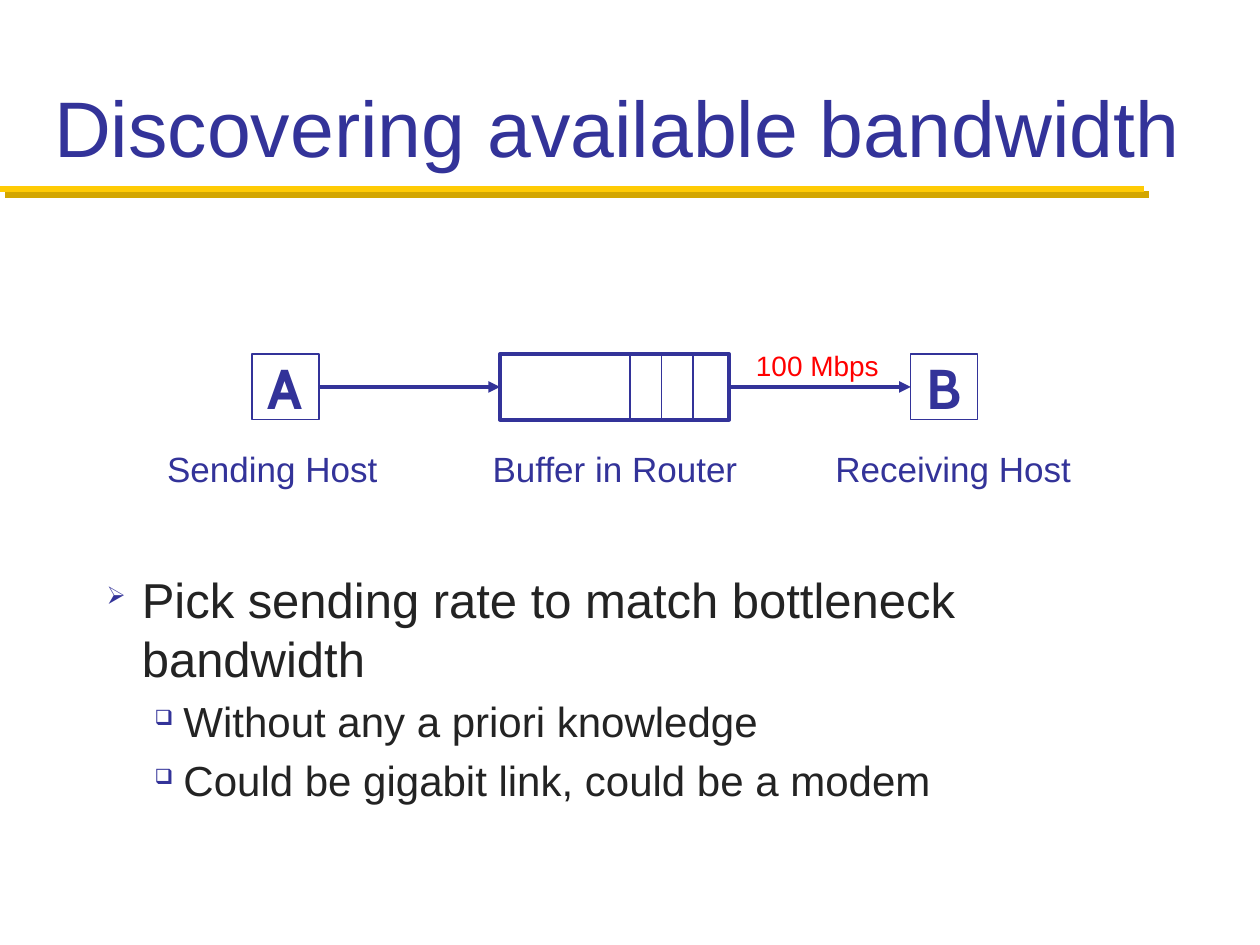
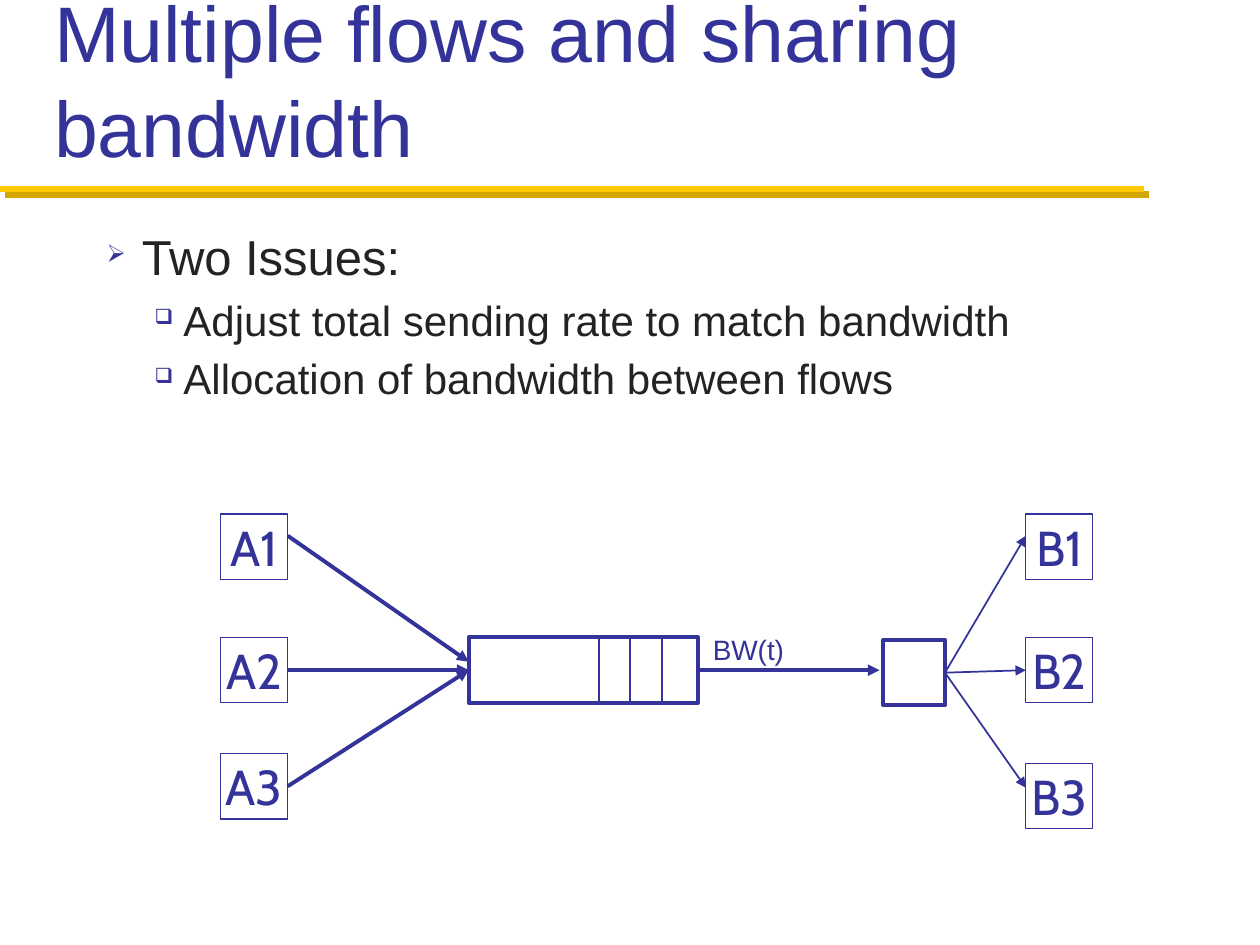
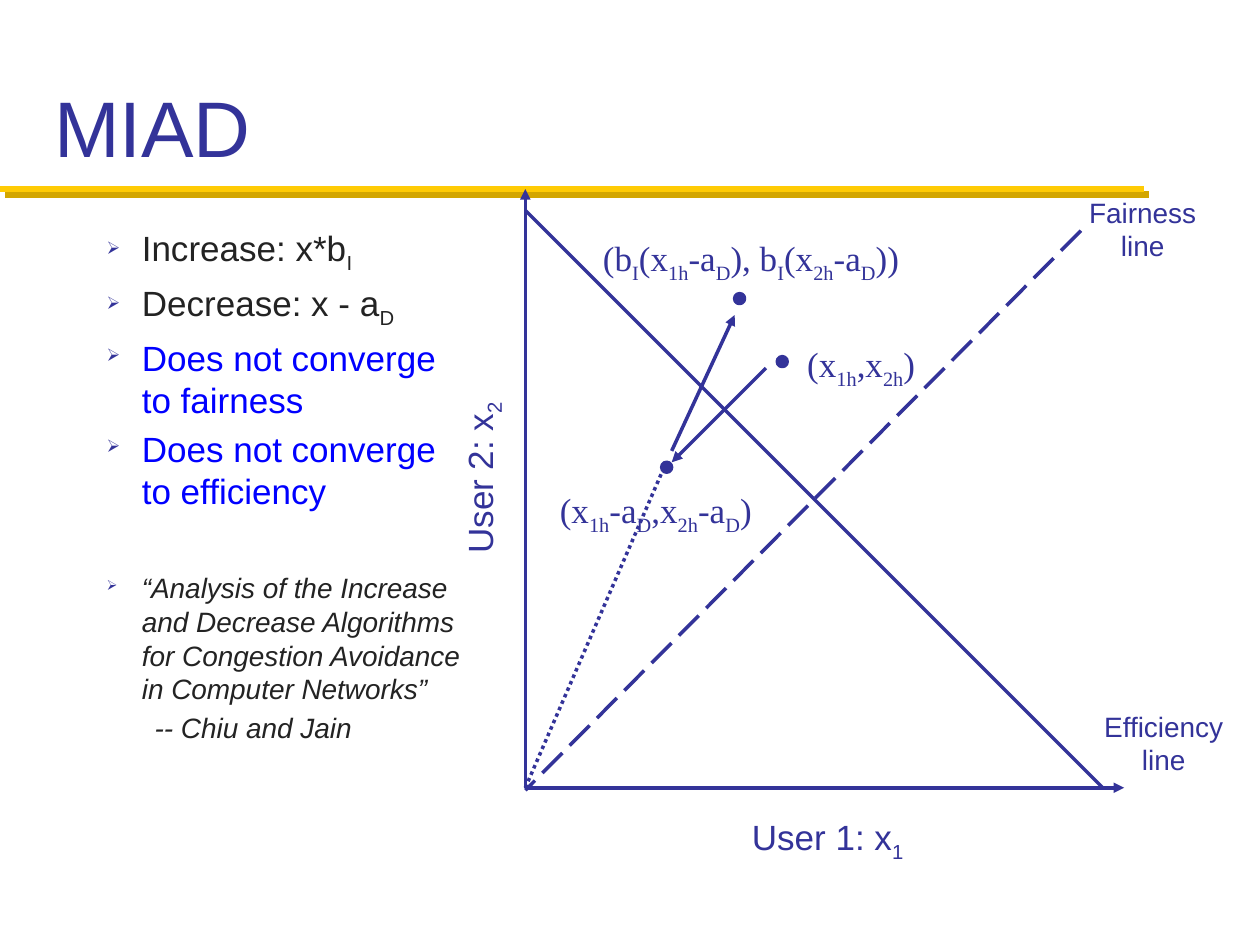
from lxml import etree
from pptx import Presentation
from pptx import util as u
from pptx.dml import color as colors
from pptx.enum import dml, shapes, text as texts
from pptx.oxml import ns

INDIGO, INK, BLUE, RED, WHITE = "333399", "232323", "0000FF", "FF0000", "FFFFFF"
GOLD, DARK_GOLD = "FFCB05", "D3A600"
SANS, SERIF, ROUNDED = "Arial", "Times New Roman", "Cabin"
BODY_BOX = (1.9, 4.45, 22.02, 12.27)
HOST_WIDTH, BOX_HEIGHT, ROUTER_WIDTH = 1.35, 1.32, 4.62
LABEL_HEIGHT, SMALL_LABEL_HEIGHT, TWO_LINE_HEIGHT = 1.09, 0.94, 1.63
MARKS = {"arrow": ("➢", 0.71, -0.71), "square": ("❑", 1.55, -0.58), None: (None, 0.97, 0)}


def rgb(value):
    """Return the colour for a hex string."""
    return colors.RGBColor.from_string(value)


def lengths(values):
    """Return centimetre values as lengths."""
    return [u.Cm(value) for value in values]


def add_element(parent, tag, **attributes):
    """Append a drawing element to a parent element."""
    return etree.SubElement(parent, ns.qn(tag), attributes)


def write(paragraph, text, size=20, color=INDIGO, font=SANS, bold=False, italic=False):
    """Write text as runs; parts between tildes become subscripts."""
    for index, part in enumerate(text.split("~")):
        if not part:
            continue
        run = paragraph.add_run()
        run.text = part
        run.font.name, run.font.size = font, u.Pt(size)
        run.font.bold, run.font.italic = bold, italic
        run.font.color.rgb = rgb(color)
        if index % 2:
            run.font._element.set("baseline", "-25000")


def add_text(slide, box, text, wrap=False, align="LEFT", anchor="TOP", rotation=0, **style):
    """Add a text box with one paragraph for each line of text."""
    shape = slide.shapes.add_textbox(*lengths(box))
    shape.rotation = rotation
    frame = shape.text_frame
    frame.word_wrap = wrap
    frame.vertical_anchor = getattr(texts.MSO_ANCHOR, anchor)
    for index, line in enumerate(text.split("\n")):
        paragraph = frame.add_paragraph() if index else frame.paragraphs[0]
        paragraph.alignment = getattr(texts.PP_ALIGN, align)
        write(paragraph, line, **style)


def set_mark(paragraph, mark):
    """Give a paragraph its indent and bullet."""
    character, margin, indent = MARKS[mark]
    properties = paragraph._p.get_or_add_pPr()
    properties.set("marL", str(u.Cm(margin)))
    properties.set("indent", str(u.Cm(indent)))
    if character:
        add_element(add_element(properties, "a:buClr"), "a:srgbClr", val=INDIGO)
        add_element(properties, "a:buSzPct", val="50000")
        add_element(properties, "a:buChar", char=character)


def add_bullets(slide, box, items):
    """Add the body list from (mark, size, text, format) items."""
    frame = slide.shapes.add_textbox(*lengths(box)).text_frame
    frame.word_wrap = True
    for index, (mark, size, text, style) in enumerate(items):
        paragraph = frame.add_paragraph() if index else frame.paragraphs[0]
        set_mark(paragraph, mark)
        style = {"color": INK, **style}
        gap = style.pop("gap", 0.2 * size)
        if index:
            paragraph.space_before = u.Pt(gap)
        write(paragraph, text, size=size, **style)


def add_line(slide, start, end, weight=2.25, color=INDIGO, dash=None, arrow=False):
    """Draw a line between points, or from a shape's right side to a shape's left."""
    points = [point if isinstance(point, tuple) else (0, 0) for point in (start, end)]
    connector = slide.shapes.add_connector(
        shapes.MSO_CONNECTOR.STRAIGHT, *lengths(points[0] + points[1]))
    if not isinstance(start, tuple):
        connector.begin_connect(start, 3)
    if not isinstance(end, tuple):
        connector.end_connect(end, 1)
    line = connector.line
    line.color.rgb = rgb(color)
    line.width = u.Pt(weight)
    if dash:
        line.dash_style = dash
    properties = connector._element.spPr
    if arrow:
        add_element(properties.find(ns.qn("a:ln")), "a:tailEnd", type="triangle")
    add_element(properties, "a:effectLst")


def add_shape(slide, kind, box, weight, fill=WHITE):
    """Add a preset shape outlined in indigo."""
    shape = slide.shapes.add_shape(kind, *lengths(box))
    shape.shadow.inherit = False
    shape.fill.solid()
    shape.fill.fore_color.rgb = rgb(fill)
    shape.line.color.rgb = rgb(INDIGO)
    shape.line.width = u.Pt(weight)
    return shape


def add_host(slide, left, top, name, **style):
    """Add a named host box."""
    box = (left, top, HOST_WIDTH, BOX_HEIGHT)
    shape = add_shape(slide, shapes.MSO_SHAPE.RECTANGLE, box, 0.75)
    frame = shape.text_frame
    frame.word_wrap = False
    frame.vertical_anchor = texts.MSO_ANCHOR.MIDDLE
    frame.margin_left = frame.margin_right = u.Cm(0.15)
    frame.margin_top = frame.margin_bottom = u.Cm(0.08)
    frame.paragraphs[0].alignment = texts.PP_ALIGN.CENTER
    write(frame.paragraphs[0], name, font=ROUNDED, **style)
    return shape


def add_router(slide, left, top):
    """Add a router buffer with three packet dividers."""
    box = (left, top, ROUTER_WIDTH, BOX_HEIGHT)
    router = add_shape(slide, shapes.MSO_SHAPE.RECTANGLE, box, 2.25)
    for index in range(3):
        x = left + 2.62 + 0.635 * index
        add_line(slide, (x, top), (x, top + BOX_HEIGHT), weight=1)
    return router


def add_slide(presentation, title):
    """Add a blank slide with the shared gold rule and title."""
    slide = presentation.slides.add_slide(presentation.slide_layouts[6])
    for offset, color in ((0.11, DARK_GOLD), (0, GOLD)):
        y = 3.81 + offset
        add_line(slide, (offset, y), (23.06 + offset, y), weight=3.5, color=color)
    add_text(slide, (0.84, 0.43, 23.7, 3.18), title, wrap=True, anchor="BOTTOM", size=45)
    return slide


def build_discovery(presentation):
    """Build the slide about one flow through a router."""
    slide = add_slide(presentation, "Discovering available bandwidth")
    add_bullets(slide, (1.9, 11.36, 22.02, 5.36), [
        ("arrow", 28, "Pick sending rate to match bottleneck bandwidth", {}),
        ("square", 24, "Without any a priori knowledge", {}),
        ("square", 24, "Could be gigabit link, could be a modem", {}),
    ])
    top = 7.14
    sender = add_host(slide, 5.08, top, "A", size=32, bold=True)
    router = add_router(slide, 10.08, top)
    receiver = add_host(slide, 18.36, top, "B", size=32, bold=True)
    add_line(slide, sender, router, arrow=True)
    add_line(slide, router, receiver, arrow=True)
    add_text(slide, (14.99, 6.91, 3.02, SMALL_LABEL_HEIGHT), "100 Mbps", size=16, color=RED)
    for left, width, label in ((3.12, 4.78, "Sending Host"), (9.68, 5.49, "Buffer in Router"),
                               (16.59, 5.31, "Receiving Host")):
        add_text(slide, (left, 8.89, width, LABEL_HEIGHT), label)


def build_sharing(presentation):
    """Build the slide about three flows sharing a link."""
    slide = add_slide(presentation, "Multiple flows and sharing bandwidth")
    add_bullets(slide, BODY_BOX, [
        ("arrow", 28, "Two Issues:", {}),
        ("square", 24, "Adjust total sending rate to match bandwidth", {}),
        ("square", 24, "Allocation of bandwidth between flows", {}),
    ])
    top, source_left, sink_left, router_left = 12.85, 4.45, 20.68, 9.45
    sources = [add_host(slide, source_left, y, f"A{number}", size=28)
               for number, y in enumerate((10.36, top, 15.19), 1)]
    sinks = [add_host(slide, sink_left, y, f"B{number}", size=28)
             for number, y in enumerate((10.36, top, 15.39), 1)]
    router = add_router(slide, router_left, top)
    gateway = add_shape(slide, shapes.MSO_SHAPE.RECTANGLE, (17.81, 12.9, 1.24, BOX_HEIGHT), 2.25)
    add_line(slide, (source_left + HOST_WIDTH, 10.8), (router_left, 13.34), arrow=True)
    for source in sources[1:]:
        add_line(slide, source, router, arrow=True)
    add_line(slide, router, (17.73, top + BOX_HEIGHT / 2), arrow=True)
    for end in ((sink_left, 10.8), sinks[1], (sink_left, 15.88)):
        add_line(slide, gateway, end, weight=1, arrow=True)
    add_text(slide, (14.12, 12.62, 1.96, SMALL_LABEL_HEIGHT), "BW(t)", size=16)


def build_miad(presentation):
    """Build the slide with the fairness and efficiency diagram."""
    slide = add_slide(presentation, "MIAD")
    quote = ("“Analysis of the Increase and Decrease Algorithms "
             "for Congestion Avoidance in Computer Networks”")
    add_bullets(slide, (*BODY_BOX[:2], 7.77, BODY_BOX[3]), [
        ("arrow", 20, "Increase: x*b~I~", {}),
        ("arrow", 20, "Decrease: x - a~D~", {}),
        ("arrow", 20, "Does not converge to fairness", {"color": BLUE}),
        ("arrow", 20, "Does not converge to efficiency", {"color": BLUE}),
        ("arrow", 16, quote, {"italic": True, "gap": 34}),
        (None, 16, "-- Chiu and Jain", {"italic": True}),
    ])
    x, y = origin = (10.59, 15.88)
    for start, end, style in (
        (origin, (x, 3.81), {"arrow": True}),
        ((21.79, 4.65), (x, 15.93), {"dash": dml.MSO_LINE.LONG_DASH}),
        (origin, (22.66, y), {"arrow": True}),
        ((x, 4.24), (22.23, y), {}),
        ((15.44, 7.42), (13.54, 9.32), {"arrow": True}),
        ((13.54, 9.09), (14.81, 6.35), {"arrow": True}),
        (origin, (13.34, 9.53), {"dash": dml.MSO_LINE.ROUND_DOT}),
    ):
        add_line(slide, start, end, weight=2, **style)
    for left, top in ((15.67, 7.19), (13.34, 9.32), (14.81, 5.92)):
        add_shape(slide, shapes.MSO_SHAPE.OVAL, (left, top, 0.2, 0.2), 2, fill=INDIGO)
    for left, top, width, label in (
        (15.95, 6.78, 2.82, "(x~1h~,x~2h~)"),
        (10.92, 9.73, 4.6, "(x~1h~-a~D~,x~2h~-a~D~)"),
        (11.43, 4.65, 7.42, "(b~I~(x~1h~-a~D~), b~I~(x~2h~-a~D~))"),
    ):
        add_text(slide, (left, top, width, LABEL_HEIGHT), label, align="CENTER", font=SERIF)
    for left, top, width, label in ((21.69, 3.81, 2.69, "Fairness\nline"),
                                    (22, 14.17, 2.92, "Efficiency\nline")):
        add_text(slide, (left, top, width, TWO_LINE_HEIGHT), label, align="CENTER", size=16)
    for left, top, label, rotation in ((14.88, 16.31, "User 1: x~1~", 0),
                                       (7.85, 9.09, "User 2: x~2~", 270)):
        add_text(slide, (left, top, 3.61, LABEL_HEIGHT), label, align="CENTER", rotation=rotation)


def main():
    """Build and save the presentation."""
    presentation = Presentation()
    presentation.slide_width, presentation.slide_height = lengths((25.4, 19.05))
    build_discovery(presentation)
    build_sharing(presentation)
    build_miad(presentation)
    presentation.save("out.pptx")


if __name__ == "__main__":
    main()
